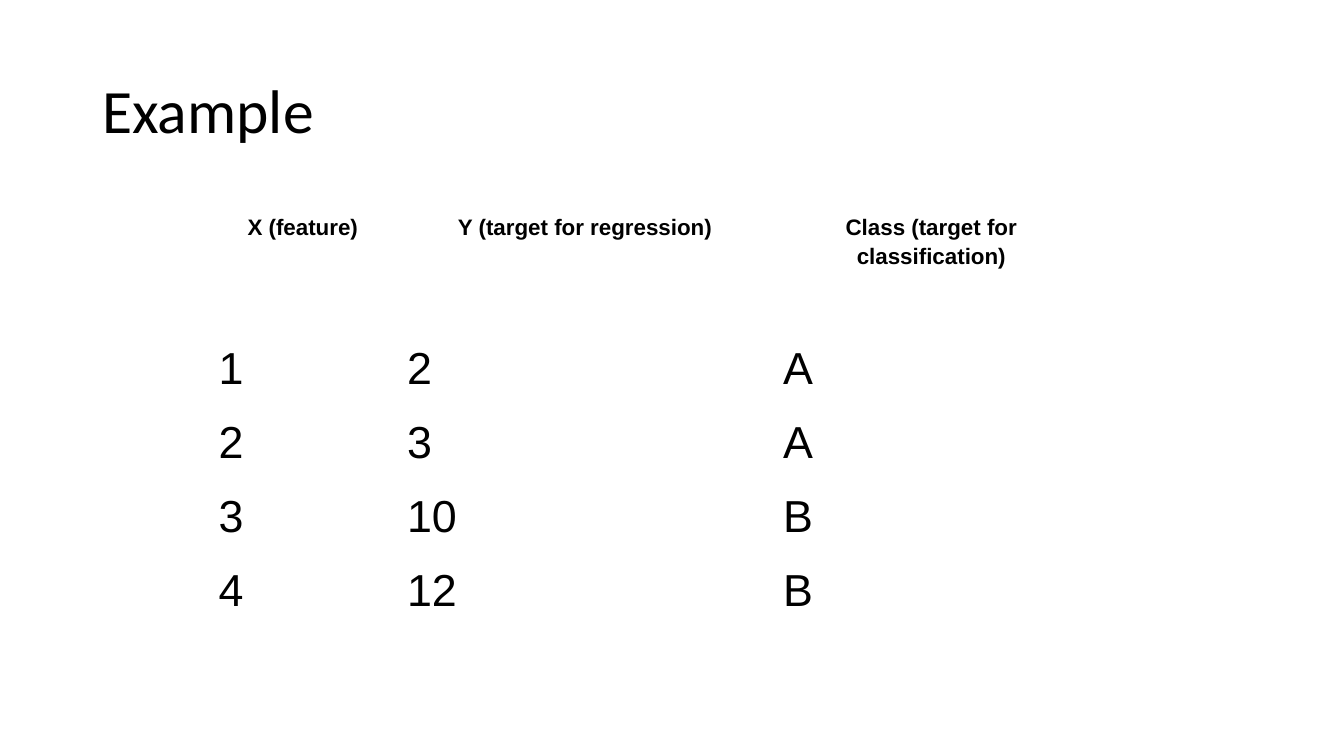
from dataclasses import dataclass

from pptx import Presentation
from pptx.dml.color import RGBColor
from pptx.enum.text import MSO_ANCHOR, PP_ALIGN
from pptx.slide import Slide
from pptx.table import _Cell
from pptx.text.text import _Paragraph
from pptx.util import Pt

LEFT, CENTER = PP_ALIGN.LEFT, PP_ALIGN.CENTER
TOP, MIDDLE = MSO_ANCHOR.TOP, MSO_ANCHOR.MIDDLE


@dataclass(frozen=True)
class TextStyle:
    font: str
    size: float
    bold: bool = False
    align: PP_ALIGN = LEFT
    line_spacing: float = 1.0


@dataclass(frozen=True)
class Theme:
    ink: RGBColor = RGBColor(0, 0, 0)
    title: TextStyle = TextStyle("Calibri", 44, line_spacing=0.9)
    header: TextStyle = TextStyle("Arial", 16, True, CENTER, 1.15)
    body: TextStyle = TextStyle("Arial", 32)


@dataclass(frozen=True)
class Column:
    heading: str
    width: float
    values: tuple[str, ...]


THEME = Theme()
CELL_MARGIN = 7.2
HEADER_HEIGHT, ROW_HEIGHT = 94.3, 32.4
COLUMNS = (
    Column("X (feature)", 134.6, ("1", "2", "3", "4")),
    Column("Y (target for regression)", 268.6, ("2", "3", "10", "12")),
    Column("Class (target for classification)", 226.1, ("A", "A", "B", "B")),
)


def write(para: _Paragraph, text: str, style: TextStyle) -> None:
    para.text = text
    para.alignment = style.align
    para.line_spacing = style.line_spacing
    para.font.name = style.font
    para.font.size = Pt(style.size)
    para.font.bold = style.bold
    para.font.color.rgb = THEME.ink


def add_title(page: Slide, text: str) -> None:
    box = page.shapes.add_textbox(Pt(66), Pt(28.8), Pt(828), Pt(104.4))
    frame = box.text_frame
    frame.word_wrap = True
    frame.vertical_anchor = MIDDLE
    write(frame.paragraphs[0], text, THEME.title)


def fill_cell(cell: _Cell, text: str, style: TextStyle) -> None:
    cell.fill.background()
    cell.vertical_anchor = TOP
    cell.margin_left = cell.margin_right = Pt(CELL_MARGIN)
    cell.margin_top = cell.margin_bottom = Pt(CELL_MARGIN)
    write(cell.text_frame.paragraphs[0], text, style)


def add_data_table(page: Slide, columns: tuple[Column, ...]) -> None:
    row_count = 1 + len(columns[0].values)
    width = sum(column.width for column in columns)
    height = HEADER_HEIGHT + ROW_HEIGHT * (row_count - 1)
    table = page.shapes.add_table(
        row_count, len(columns), Pt(149), Pt(144), Pt(width), Pt(height)
    ).table
    table.first_row = table.horz_banding = False
    for index, row in enumerate(table.rows):
        row.height = Pt(ROW_HEIGHT if index else HEADER_HEIGHT)
    for column_index, column in enumerate(columns):
        table.columns[column_index].width = Pt(column.width)
        fill_cell(table.cell(0, column_index), column.heading, THEME.header)
        for row_index, value in enumerate(column.values, start=1):
            fill_cell(table.cell(row_index, column_index), value, THEME.body)


def main() -> None:
    deck = Presentation()
    deck.slide_width, deck.slide_height = Pt(960), Pt(540)
    page = deck.slides.add_slide(deck.slide_layouts[6])
    add_title(page, "Example")
    add_data_table(page, COLUMNS)
    deck.save("out.pptx")


if __name__ == "__main__":
    main()
